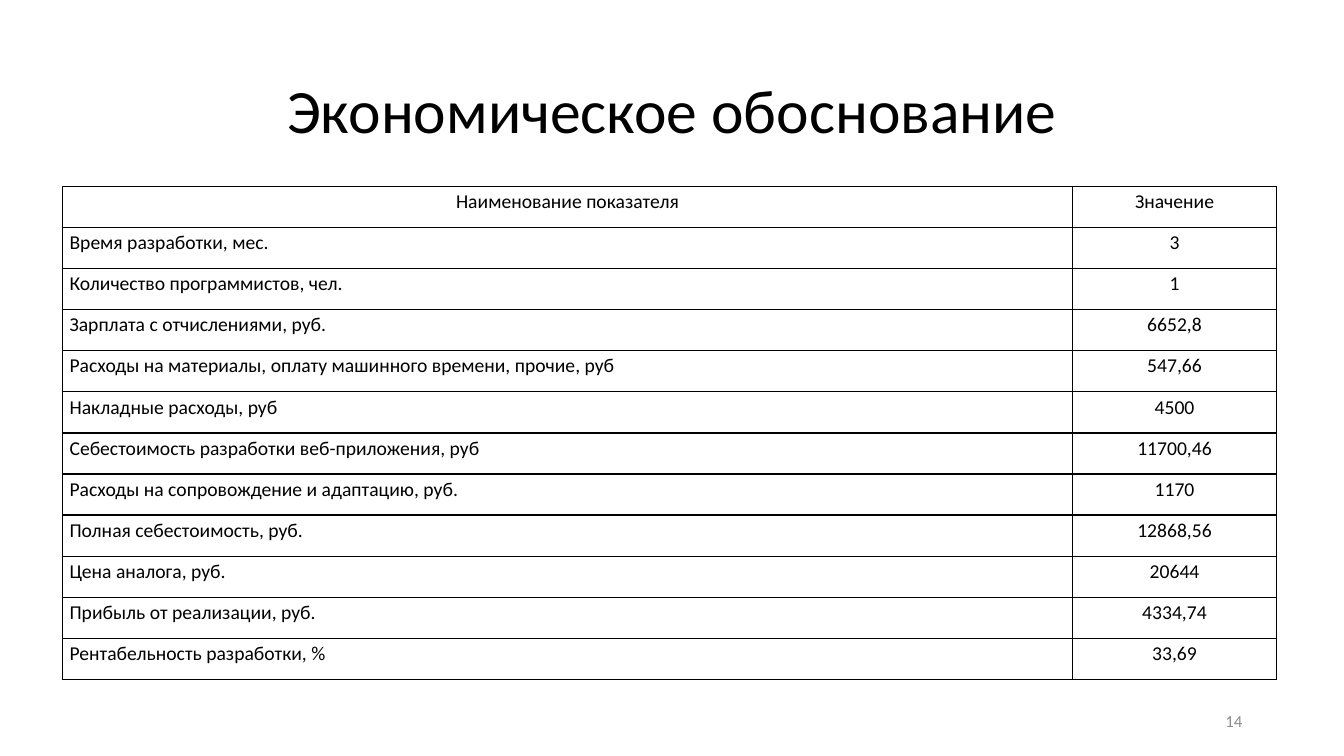
"""Build the slide with the table of economic indicators."""
from lxml.etree import SubElement
from pptx import Presentation
from pptx.dml.color import RGBColor
from pptx.enum.text import MSO_ANCHOR as ANCHOR, PP_ALIGN as ALIGN
from pptx.oxml.ns import qn
from pptx.util import Inches, Pt

ROWS = [
    ("Наименование показателя", "Значение"),
    ("Время разработки, мес.", "3"),
    ("Количество программистов, чел.", "1"),
    ("Зарплата с отчислениями, руб.", "6652,8"),
    ("Расходы на материалы, оплату машинного времени, прочие, руб", "547,66"),
    ("Накладные расходы, руб", "4500"),
    ("Себестоимость разработки веб-приложения, руб", "11700,46"),
    ("Расходы на сопровождение и адаптацию, руб.", "1170"),
    ("Полная себестоимость, руб.", "12868,56"),
    ("Цена аналога, руб.", "20644"),
    ("Прибыль от реализации, руб.", "4334,74"),
    ("Рентабельность разработки, %", "33,69"),
]
COL_WIDTHS = [10.02, 2.02]
ROW_HEIGHT = 0.4075


def rgb(color):
    return RGBColor.from_string(color)


def write(tf, text, size, color, align, spacing):
    tf.word_wrap = True
    p = tf.paragraphs[0]
    p.text = text
    p.alignment = align
    p.line_spacing = spacing
    p.font.name = "Calibri"
    p.font.size = Pt(size)
    p.font.color.rgb = rgb(color)


prs = Presentation()
prs.slide_width = Inches(13.33)
prs.slide_height = Inches(7.5)
s = prs.slides.add_slide(prs.slide_layouts[6])

for box, text, size, color, align, spacing in [
    ((0.92, 0.4, 11.5, 1.45), "Экономическое обоснование", 44, "000000", ALIGN.CENTER, 0.9),
    ((9.42, 6.95, 3, 0.4), "14", 12, "8C8C8C", ALIGN.RIGHT, 1.0),
]:
    tf = s.shapes.add_textbox(*map(Inches, box)).text_frame
    tf.vertical_anchor = ANCHOR.MIDDLE
    write(tf, text, size, color, align, spacing)

table = s.shapes.add_table(
    len(ROWS), len(COL_WIDTHS), Inches(0.62), Inches(1.85),
    Inches(sum(COL_WIDTHS)), Inches(ROW_HEIGHT * len(ROWS)),
).table
table.first_row = table.horz_banding = False
for column, width in zip(table.columns, COL_WIDTHS):
    column.width = Inches(width)

for i, row in enumerate(ROWS):
    table.rows[i].height = Inches(ROW_HEIGHT)
    for j, text in enumerate(row):
        cell = table.cell(i, j)
        cell.margin_left = cell.margin_right = Inches(0.07)
        cell.margin_top = cell.margin_bottom = 0
        align = ALIGN.LEFT if i and j == 0 else ALIGN.CENTER
        write(cell.text_frame, text, 14, "000000", align, 1.15)
        tc_pr = cell._tc.get_or_add_tcPr()
        for side in ("lnL", "lnR", "lnT", "lnB"):
            ln = SubElement(tc_pr, qn(f"a:{side}"), w=str(Pt(1)))
            SubElement(SubElement(ln, qn("a:solidFill")), qn("a:srgbClr"), val="000000")
        cell.fill.solid()
        cell.fill.fore_color.rgb = rgb("FFFFFF")

prs.save("out.pptx")
